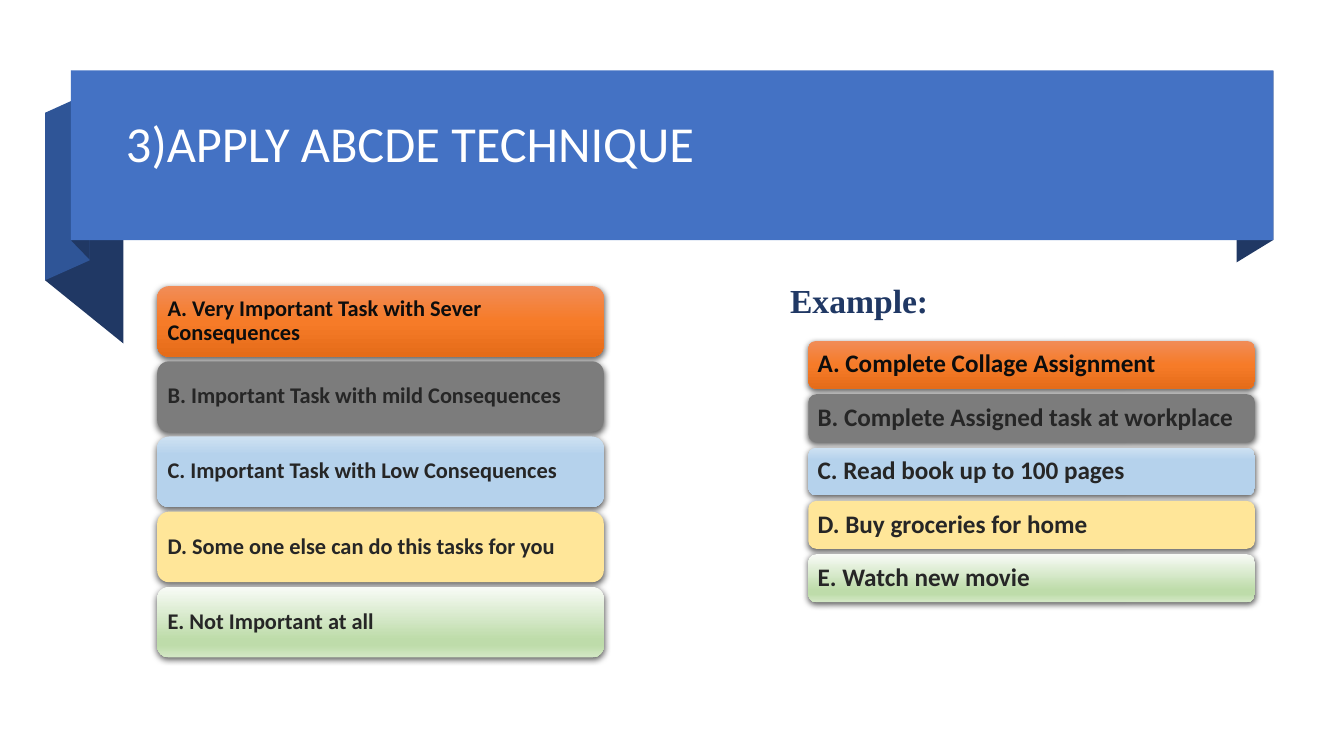
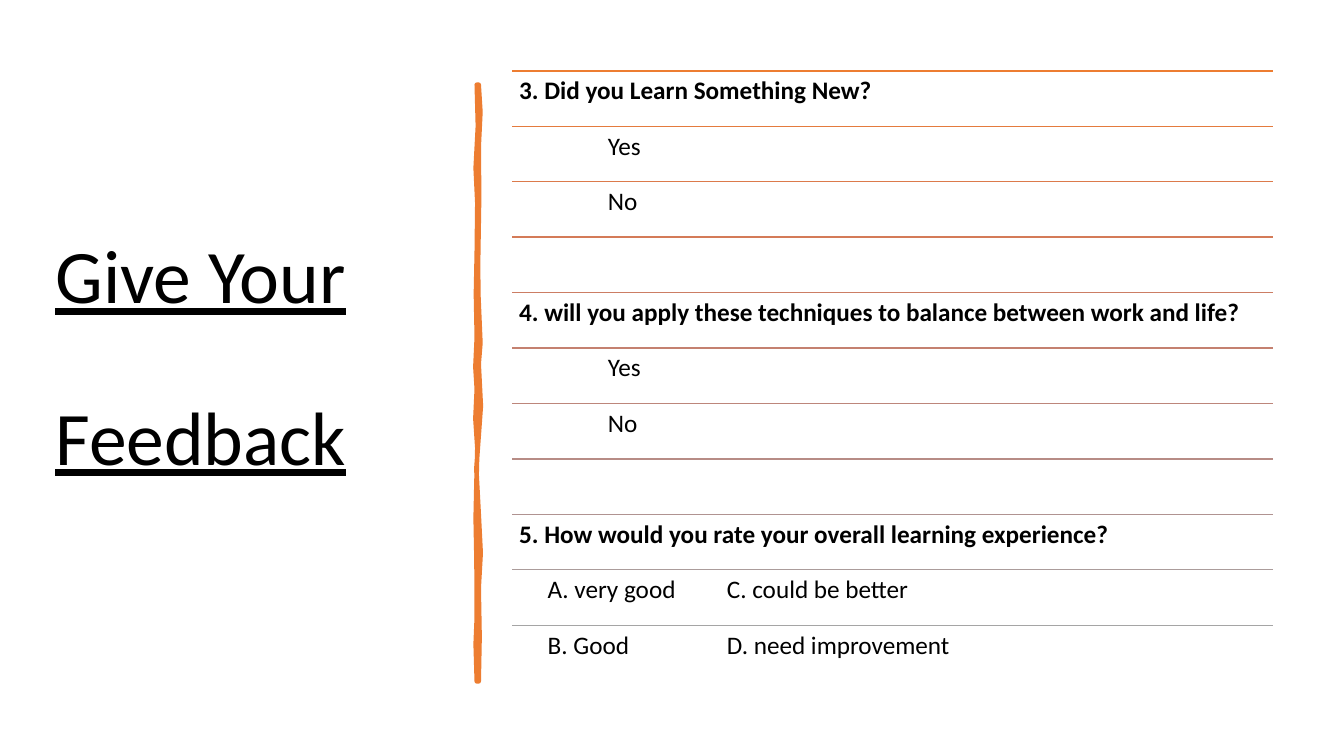
from lxml import etree
from pptx import Presentation
from pptx.dml.color import RGBColor
from pptx.enum.shapes import MSO_CONNECTOR, MSO_SHAPE
from pptx.enum.text import MSO_ANCHOR, MSO_AUTO_SIZE, PP_ALIGN
from pptx.oxml.ns import qn
from pptx.util import Pt

RECT, ROUND = MSO_SHAPE.RECTANGLE, MSO_SHAPE.ROUNDED_RECTANGLE
STRAIGHT = MSO_CONNECTOR.STRAIGHT
TOP, MIDDLE = MSO_ANCHOR.TOP, MSO_ANCHOR.MIDDLE
LEFT = PP_ALIGN.LEFT
NO_FIT = MSO_AUTO_SIZE.NONE
TITLE_ONLY = 5

# Colours
rgb = RGBColor.from_string
WHITE, BLACK = rgb("FFFFFF"), rgb("000000")
BLUE, MID_BLUE, NAVY = rgb("4472C4"), rgb("2F5597"), rgb("203864")
ORANGE, GREY, YELLOW = rgb("ED7D31"), rgb("7C7C7C"), rgb("FFE699")
INK, DARK = rgb("0D0D0D"), rgb("262626")
RULES = [rgb(c) for c in (
    "ED7D31", "E47B3E", "DC7A4B", "D47B58", "CC7D64", "C48170",
    "BD867B", "B78C86", "B09391", "AB9C9B", "A5A5A5")]

# Gradients, as (percent, colour) from top to bottom
ORANGE_FADE = [(0, rgb("F18C57")), (50, rgb("F67B28")), (100, rgb("E56C19"))]
BLUE_FADE = [(0, rgb("CEE1F2")), (26, rgb("B5D2EC")), (69, rgb("B5D2EC"))]
GREEN_FADE = [(0, rgb("F8FBF6")), (74, rgb("BEDCAA")),
              (83, rgb("BEDCAA")), (100, rgb("D4E8C6"))]
CARD_STYLES = [(ORANGE_FADE, INK), (GREY, DARK), (BLUE_FADE, DARK),
               (YELLOW, DARK), (GREEN_FADE, DARK)]


def sub(parent, tag, **attrs):
    return etree.SubElement(parent, qn(tag), {k: str(v) for k, v in attrs.items()})


class Deck:
    font = "Calibri"

    def __init__(self, prs):
        self.prs = prs
        self.s = None

    def new_slide(self):
        self.s = self.prs.slides.add_slide(self.prs.slide_layouts[TITLE_ONLY])

    def set_text(self, shape, lines, size, color, anchor=TOP, inset=None,
                 spacing=0.9, gap=0, **font):
        """Fill a shape with left-aligned paragraphs of one style."""
        tf = shape.text_frame
        frame = {"word_wrap": True, "auto_size": NO_FIT, "vertical_anchor": anchor}
        if inset is not None:
            frame.update({"margin_" + side: Pt(inset)
                          for side in ("left", "top", "right", "bottom")})
        for name, value in frame.items():
            setattr(tf, name, value)
        look = {"name": self.font, "size": Pt(size), **font}
        for i, line in enumerate(lines):
            p = tf.add_paragraph() if i else tf.paragraphs[0]
            p.alignment, p.line_spacing = LEFT, spacing
            p.space_before = Pt(gap if i else 0)
            r = p.add_run()
            r.text = line
            for name, value in look.items():
                setattr(r.font, name, value)
            r.font.color.rgb = color

    def title(self, lines, x, y, w, h, size, color, **style):
        sp = self.s.shapes.title
        for name, value in zip(("left", "top", "width", "height"), (x, y, w, h)):
            setattr(sp, name, Pt(value))
        self.set_text(sp, lines, size, color, anchor=MIDDLE, **style)
        self.s.shapes._spTree.append(sp._element)  # bring to front

    def paint(self, sp, fill):
        """Apply a plain colour or a list of gradient stops, without line or shadow."""
        sp.shadow.inherit = False
        sp.line.fill.background()
        if isinstance(fill, RGBColor):
            sp.fill.solid()
            sp.fill.fore_color.rgb = fill
            return
        sp.fill.gradient()
        sp.fill.gradient_angle = 270
        stops = sp._element.spPr.find(".//" + qn("a:gsLst"))
        stops.clear()
        for pos, color in fill:
            sub(sub(stops, "a:gs", pos=pos * 1000), "a:srgbClr", val=color)

    def box(self, kind, x, y, w, h, fill):
        sp = self.s.shapes.add_shape(kind, Pt(x), Pt(y), Pt(w), Pt(h))
        self.paint(sp, fill)
        return sp

    def polygon(self, points, fill):
        pts = [(Pt(x), Pt(y)) for x, y in points]
        fb = self.s.shapes.build_freeform(*pts[0], scale=1.0)
        fb.add_line_segments(pts[1:], close=True)
        sp = fb.convert_to_shape()
        self.paint(sp, fill)
        return sp

    def text(self, line, x, y, w, h, size, color, tabs=(), **style):
        sp = self.s.shapes.add_textbox(Pt(x), Pt(y), Pt(w), Pt(h))
        self.set_text(sp, [line], size, color, **style)
        if tabs:
            tab_list = sub(sp.text_frame.paragraphs[0]._p.get_or_add_pPr(), "a:tabLst")
            for pos in tabs:
                sub(tab_list, "a:tab", pos=Pt(pos), algn="l")

    def rule(self, x, y, w, color):
        c = self.s.shapes.add_connector(STRAIGHT, Pt(x), Pt(y), Pt(x + w), Pt(y))
        c.line.color.rgb, c.line.width = color, Pt(1)
        sub(c._element.spPr, "a:effectLst")

    def cards(self, labels, x, y, w, h, pitch, size):
        """Stack of shadowed cards, one for each priority."""
        for i, (label, (fill, ink)) in enumerate(zip(labels, CARD_STYLES)):
            sp = self.box(ROUND, x, y + i * pitch, w, h, fill)
            effects = sp._element.spPr.find(qn("a:effectLst"))
            shadow = sub(effects, "a:outerShdw", blurRad=Pt(4.5), dist=Pt(1.5),
                         dir=5400000, algn="ctr", rotWithShape=0)
            sub(sub(shadow, "a:srgbClr", val=BLACK), "a:alpha", val=63000)
            self.set_text(sp, [label], size, ink, anchor=MIDDLE, inset=5, bold=True)


def technique_slide(d):
    d.new_slide()
    # Ribbon: folds first, then the band over them
    folds = [
        ([(909.6, 171.4), (883.4, 187.4), (883.4, 65.5), (909.6, 50.6)], NAVY),
        ([(88.2, 245.4), (32.2, 200.2), (32.2, 80.6), (88.2, 126)], NAVY),
        ([(64, 186), (32.2, 200.2), (32.2, 80.6), (64, 66.2)], MID_BLUE),
        ([(64, 185.4), (51, 172), (51, 50.6), (64, 64)], NAVY),
    ]
    for points, fill in folds:
        d.polygon(points, fill)
    d.box(RECT, 50.6, 50.2, 859, 121.4, BLUE)
    d.title(["3)APPLY ABCDE TECHNIQUE"], 82.8, 67.7, 811.4, 73.4, 36, WHITE)

    # Priorities and a worked example
    d.cards(["A. Very Important Task with Sever Consequences",
             "B. Important Task with mild Consequences",
             "C. Important Task with Low Consequences",
             "D. Some one else can do this tasks for you",
             "E. Not Important at all"], 112.3, 204.4, 319, 50.4, 53.7, 16)
    d.cards(["A. Complete Collage Assignment",
             "B. Complete Assigned task at workplace",
             "C. Read book up to 100 pages",
             "D. Buy groceries for home",
             "E. Watch new movie"], 577.4, 243.5, 319, 34.2, 38.1, 18)
    d.text("Example:", 557.3, 196.6, 305, 36, 24, NAVY, spacing=1.0,
           name="Times New Roman", bold=True)


def feedback_slide(d):
    d.new_slide()
    # Hand-drawn divider
    right = [(342, 60.5), (343.2, 80), (342, 105), (342.3, 140), (341.5, 190),
             (341.8, 212), (343.2, 245), (342, 260), (343.5, 290), (341.8, 314),
             (340.3, 335), (342, 367), (343.4, 395), (342, 420), (342.6, 455),
             (342, 486.7)]
    left = [(340.6, 486.7), (339.8, 460), (340.6, 441), (340.4, 401), (339.8, 370),
            (340.4, 343), (341, 320), (339.6, 299), (340.6, 278), (339.6, 262),
            (340.6, 241), (340, 210), (340.6, 180), (341, 145), (339.8, 120),
            (341.4, 90), (340.6, 60.5)]
    bar = d.polygon(right + left, ORANGE)
    bar.line.color.rgb, bar.line.width = ORANGE, Pt(3.25)

    # Ruled question list
    choice, pair = (63.4,), (20.4, 148.4)
    rows = [
        ("3. Did you Learn Something New?", ()),
        ("\tYes", choice),
        ("\tNo", choice),
        ("", ()),
        ("4. will you apply these techniques to balance between work and life?", ()),
        ("\tYes", choice),
        ("\tNo", choice),
        ("", ()),
        ("5. How would you rate your overall learning experience?", ()),
        ("\tA. very good\tC. could be better", pair),
        ("\tB. Good\tD. need improvement", pair),
    ]
    x, top, w, pitch = 365.8, 50.6, 543.6, 39.6
    for i, ((line, tabs), color) in enumerate(zip(rows, RULES)):
        y = top + i * pitch
        d.rule(x, y, w, color)
        if line:
            d.text(line, x, y, w, pitch, 18, BLACK, tabs=tabs, inset=5,
                   bold=not tabs)
    d.title(["Give Your", "Feedback"], 32.4, 43.2, 317.5, 427.7, 54, BLACK,
            gap=57, underline=True)


def main():
    prs = Presentation()
    prs.slide_width, prs.slide_height = Pt(960), Pt(540)
    d = Deck(prs)
    technique_slide(d)
    feedback_slide(d)
    prs.save("out.pptx")


if __name__ == "__main__":
    main()
